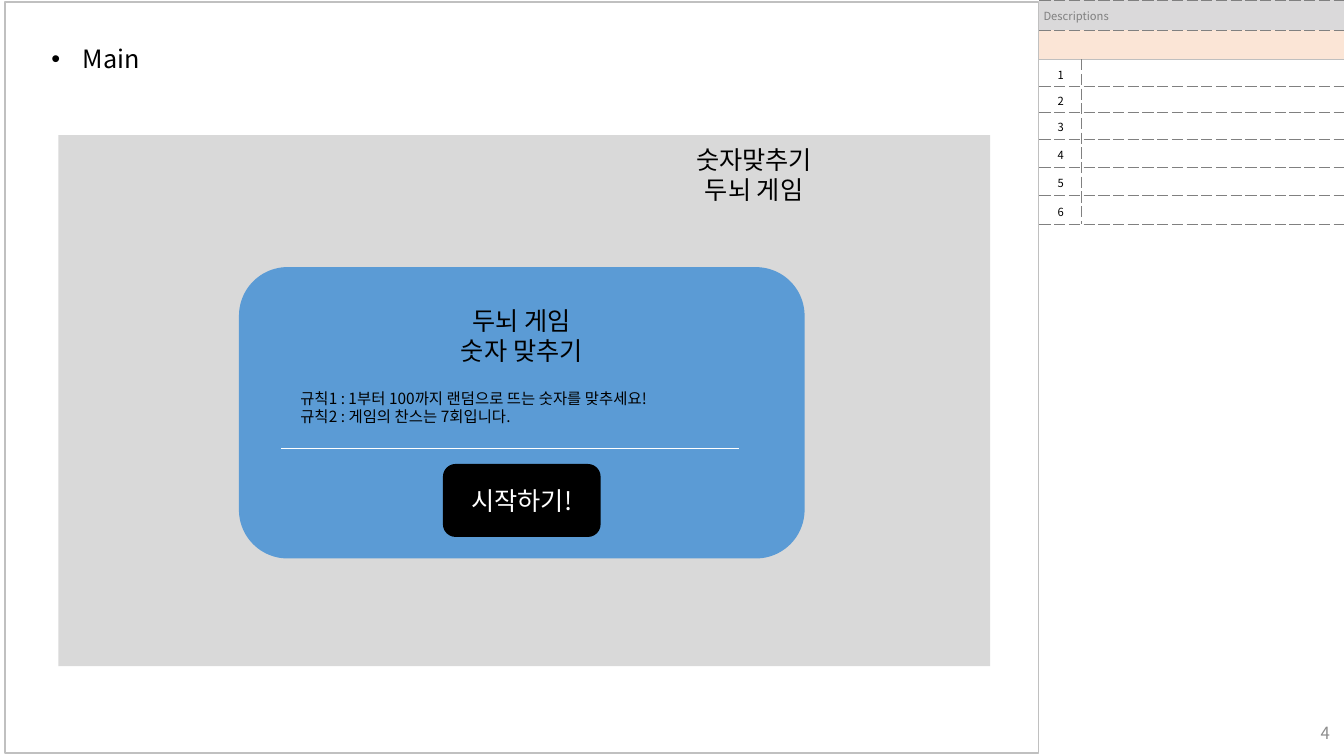
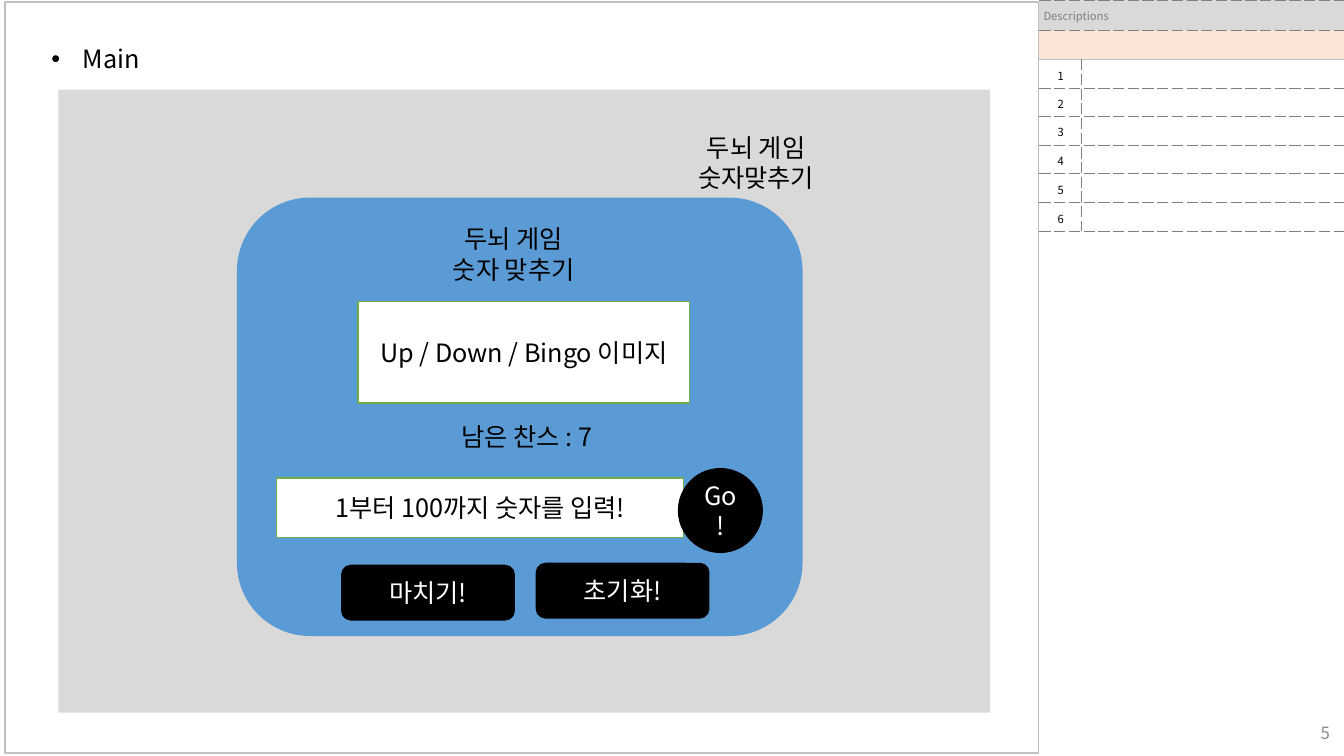
from dataclasses import dataclass
from typing import Optional

from lxml import etree
from pptx import Presentation
from pptx.dml.color import RGBColor
from pptx.enum.shapes import MSO_CONNECTOR, MSO_SHAPE
from pptx.enum.text import MSO_ANCHOR, MSO_AUTO_SIZE, PP_ALIGN
from pptx.oxml.ns import qn
from pptx.util import Inches, Pt

RECT = MSO_SHAPE.RECTANGLE
ROUND = MSO_SHAPE.ROUNDED_RECTANGLE
OVAL = MSO_SHAPE.OVAL
LEFT, CENTER, RIGHT = PP_ALIGN.LEFT, PP_ALIGN.CENTER, PP_ALIGN.RIGHT
TOP, MIDDLE = MSO_ANCHOR.TOP, MSO_ANCHOR.MIDDLE
TITLE_ONLY = 5
NO_TABLE_STYLE = "{2D5ABB26-0587-4C30-8999-92F81FD0307C}"


@dataclass(frozen=True)
class Theme:
    font: str = "Noto Sans CJK KR"
    black: str = "000000"
    white: str = "FFFFFF"
    frame: str = "C0C0C0"
    page: str = "8C8C8C"
    grid: str = "808080"
    rule: str = "BFBFBF"
    header: str = "DAD9DA"
    subheader: str = "FBE5D6"
    screen: str = "D9D9D9"
    panel: str = "5B9BD5"
    field: str = "70AD47"
    body_size: float = 18
    page_size: float = 12
    rules_size: float = 11
    table_size: float = 8


THEME = Theme()
Box = tuple[float, float, float, float]


@dataclass(frozen=True)
class Style:
    fill: Optional[str] = None
    line: Optional[str] = None
    text: str = THEME.black


FRAME = Style(line=THEME.frame)
SCREEN = Style(fill=THEME.screen)
PANEL = Style(fill=THEME.panel)
BUTTON = Style(THEME.black, THEME.black, THEME.white)
FIELD = Style(THEME.white, THEME.field)


@dataclass(frozen=True)
class Block:
    preset: MSO_SHAPE
    box: Box
    style: Style
    text: str = ""


@dataclass(frozen=True)
class Label:
    box: Box
    text: str
    size: float = THEME.body_size
    align: PP_ALIGN = CENTER


@dataclass(frozen=True)
class Rule:
    x1: float
    x2: float
    y: float


@dataclass(frozen=True)
class Screen:
    page: int
    row_heights: tuple[float, ...]
    items: tuple[Block | Label | Rule, ...]


def rgb(color: str) -> RGBColor:
    return RGBColor.from_string(color)


def inches(box: Box) -> list[Inches]:
    return [Inches(v) for v in box]


def write(tf, text: str, size: float, color: str, align: PP_ALIGN) -> None:
    tf.text = text
    for p in tf.paragraphs:
        p.alignment = align
        p.font.name = THEME.font
        p.font.size = Pt(size)
        p.font.color.rgb = rgb(color)
        defaults = p._p.get_or_add_pPr().find(qn("a:defRPr"))
        etree.SubElement(defaults, qn("a:ea"), typeface=THEME.font)
        if not text:
            etree.SubElement(p._p, qn("a:endParaRPr"), sz=str(int(size * 100)))


def add_block(slide, block: Block) -> None:
    sp = slide.shapes.add_shape(block.preset, *inches(block.box))
    sp.shadow.inherit = False
    style = block.style
    if style.fill:
        sp.fill.solid()
        sp.fill.fore_color.rgb = rgb(style.fill)
    else:
        sp.fill.background()
    if style.line:
        sp.line.color.rgb = rgb(style.line)
        sp.line.width = Pt(1)
    else:
        sp.line.fill.background()
    if block.text:
        sp.text_frame.vertical_anchor = MIDDLE
        write(sp.text_frame, block.text, THEME.body_size, style.text, CENTER)


def add_label(slide, label: Label) -> None:
    tf = slide.shapes.add_textbox(*inches(label.box)).text_frame
    tf.word_wrap = False
    tf.auto_size = MSO_AUTO_SIZE.SHAPE_TO_FIT_TEXT
    write(tf, label.text, label.size, THEME.black, label.align)


def add_rule(slide, rule: Rule) -> None:
    line = slide.shapes.add_connector(
        MSO_CONNECTOR.STRAIGHT, *inches((rule.x1, rule.y, rule.x2, rule.y)))
    line.line.color.rgb = rgb(THEME.white)
    line.line.width = Pt(0.5)
    etree.SubElement(line._element.spPr, qn("a:effectLst"))


def set_title(slide, text: str) -> None:
    sp = slide.shapes.title
    sp.left, sp.top, sp.width, sp.height = inches((0.41, 0.23, 6.67, 0.5))
    tf = sp.text_frame
    tf.word_wrap = True
    tf.auto_size = MSO_AUTO_SIZE.NONE
    tf.vertical_anchor = TOP
    write(tf, text, THEME.body_size, THEME.black, LEFT)
    p = tf.paragraphs[0]
    p.line_spacing = 1.5
    pPr = p._p.get_or_add_pPr()
    pPr.set("marL", str(Inches(0.31)))
    pPr.set("indent", str(-Inches(0.31)))
    defaults = pPr.find(qn("a:defRPr"))
    defaults.addprevious(etree.Element(qn("a:buFont"), typeface="Arial"))
    defaults.addprevious(etree.Element(qn("a:buChar"), char="•"))


def set_borders(cell, sides: str, solid: str = "") -> None:
    """Draw dashed borders on the given sides (L, R, T, B), plain ones on those in solid."""
    tcPr = cell._tc.get_or_add_tcPr()
    for i, side in enumerate(s for s in "LRTB" if s in sides):
        plain = side in solid
        ln = etree.Element(qn(f"a:ln{side}"), w=str(Pt(0.5 if plain else 0.25)))
        fill = etree.SubElement(ln, qn("a:solidFill"))
        etree.SubElement(fill, qn("a:srgbClr"), val=THEME.rule if plain else THEME.grid)
        etree.SubElement(ln, qn("a:prstDash"), val="solid" if plain else "sysDash")
        tcPr.insert(i, ln)


def set_cell(cell, text: str, color: str, align: PP_ALIGN, margins: Box,
             fill: Optional[str] = None) -> None:
    cell.margin_left, cell.margin_top, cell.margin_right, cell.margin_bottom = inches(margins)
    cell.vertical_anchor = MIDDLE
    if fill:
        cell.fill.solid()
        cell.fill.fore_color.rgb = rgb(fill)
    else:
        cell.fill.background()
    write(cell.text_frame, text, THEME.table_size, color, align)


def add_descriptions(slide, row_heights: tuple[float, ...]) -> None:
    heights = (0.3, 0.29, *row_heights)
    box = (10.31, 0, 3.02, sum(heights))
    table = slide.shapes.add_table(len(heights), 2, *inches(box)).table
    table.first_row = table.horz_banding = False
    table._tbl.tblPr.find(qn("a:tableStyleId")).text = NO_TABLE_STYLE
    for column, width in zip(table.columns, (0.41, 2.61)):
        column.width = Inches(width)
    for row, height in zip(table.rows, heights):
        row.height = Inches(height)

    headers = (("Descriptions", THEME.header, ""), ("", THEME.subheader, "B"))
    for i, (text, fill, solid) in enumerate(headers):
        table.cell(i, 0).merge(table.cell(i, 1))
        for cell in table.rows[i].cells:
            set_cell(cell, "" if cell.is_spanned else text, THEME.grid, LEFT,
                     (0.04, 0.04, 0, 0.04), fill)
            set_borders(cell, "TB", solid)

    for number in range(1, len(row_heights) + 1):
        solid = "T" if number == 1 else ""
        key, note = table.rows[number + 1].cells
        for cell, text, sides in ((key, str(number), "RTB"), (note, "", "LRTB")):
            set_cell(cell, text, THEME.black, CENTER, (0.01, 0.04, 0, 0.01))
            set_borders(cell, sides, solid)


def add_page_number(slide, page: int) -> None:
    tf = slide.shapes.add_textbox(*inches((10.29, 7.07, 3, 0.4))).text_frame
    tf.word_wrap = True
    tf.vertical_anchor = MIDDLE
    write(tf, str(page), THEME.page_size, THEME.page, RIGHT)


DRAW = {Block: add_block, Label: add_label, Rule: add_rule}

START = Screen(4, (0.26, 0.26, 0.27, 0.28, 0.28, 0.28), (
    Block(RECT, (0.58, 1.34, 9.24, 5.27), SCREEN),
    Block(ROUND, (2.37, 2.65, 5.61, 2.89), PANEL),
    Label((6.75, 1.38, 1.46, 0.71), "숫자맞추기\n두뇌 게임"),
    Label((4.4, 2.98, 1.55, 0.71), "두뇌 게임\n숫자 맞추기"),
    Block(ROUND, (4.4, 4.61, 1.55, 0.71), BUTTON, "시작하기!"),
    Label((2.88, 3.81, 4.01, 0.47),
          "규칙1 : 1부터 100까지 랜덤으로 뜨는 숫자를 맞추세요!\n규칙2 : 게임의 찬스는 7회입니다.",
          THEME.rules_size, LEFT),
    Rule(2.79, 7.33, 4.45),
))

PLAY = Screen(5, (0.28, 0.28, 0.29, 0.28, 0.29, 0.28), (
    Block(RECT, (0.58, 0.89, 9.24, 6.18), SCREEN),
    Block(ROUND, (2.35, 1.96, 5.61, 4.35), PANEL),
    Label((6.77, 1.26, 1.46, 0.71), "두뇌 게임\n숫자맞추기"),
    Label((4.32, 2.17, 1.55, 0.71), "두뇌 게임\n숫자 맞추기"),
    Block(RECT, (3.55, 2.99, 3.29, 1.01), FIELD, "Up / Down / Bingo 이미지"),
    Label((4.39, 4.13, 1.67, 0.4), "남은 찬스 : 7"),
    Block(RECT, (2.74, 4.74, 4.04, 0.59), FIELD, "1부터 100까지 숫자를 입력!"),
    Block(OVAL, (6.73, 4.65, 0.83, 0.83), BUTTON, "Go!"),
    Block(ROUND, (3.39, 5.61, 1.71, 0.54), BUTTON, "마치기!"),
    Block(ROUND, (5.32, 5.59, 1.71, 0.54), BUTTON, "초기화!"),
))


def add_screen(prs, screen: Screen) -> None:
    slide = prs.slides.add_slide(prs.slide_layouts[TITLE_ONLY])
    set_title(slide, "Main")
    add_block(slide, Block(RECT, (0.05, 0.02, 10.25, 7.45), FRAME))
    add_page_number(slide, screen.page)
    add_descriptions(slide, screen.row_heights)
    for item in screen.items:
        DRAW[type(item)](slide, item)


def main() -> None:
    prs = Presentation()
    prs.slide_width, prs.slide_height = Inches(13.33), Inches(7.5)
    for screen in (START, PLAY):
        add_screen(prs, screen)
    prs.save("out.pptx")


if __name__ == "__main__":
    main()
